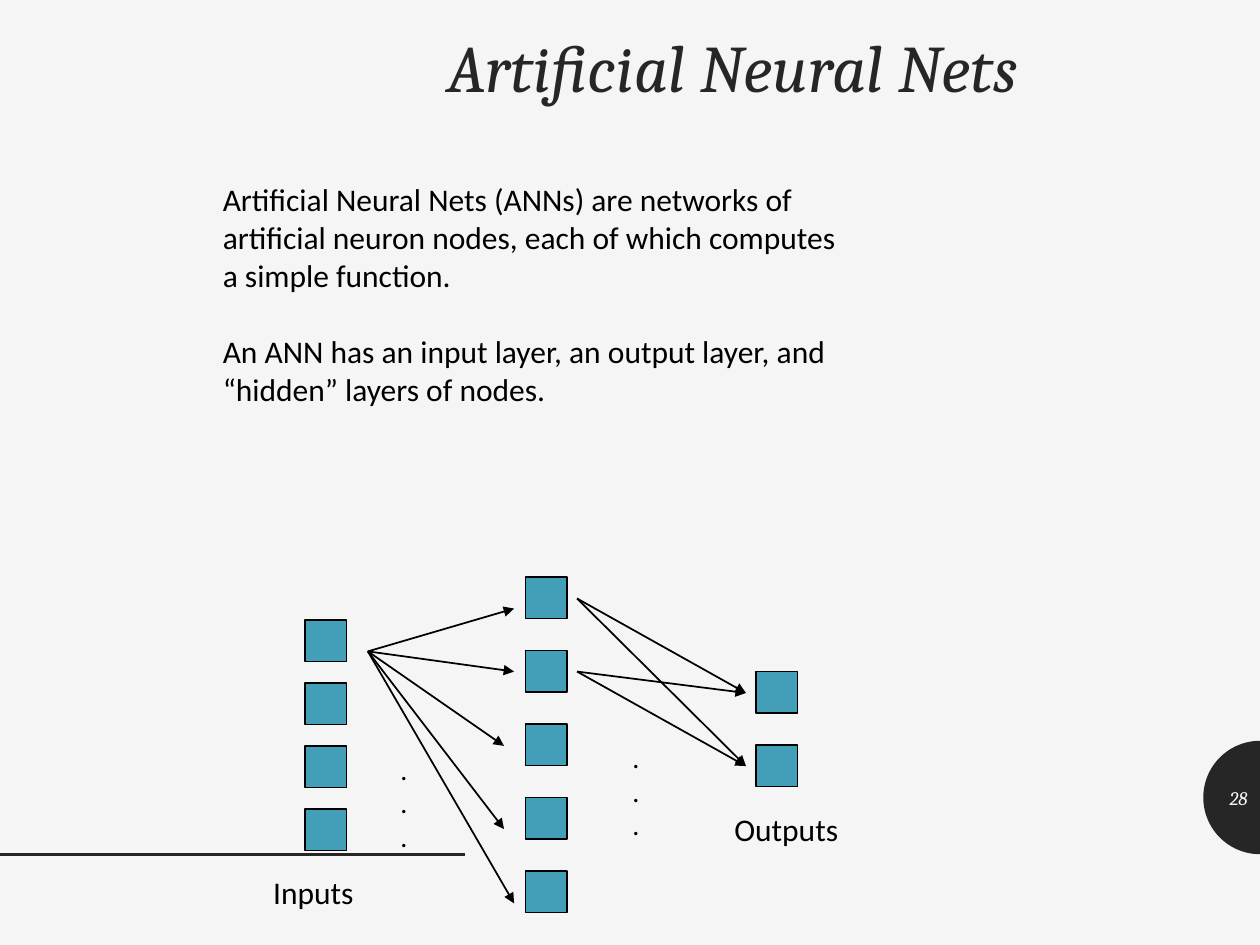
import math

from lxml import etree
from pptx import Presentation
from pptx.dml.color import RGBColor
from pptx.enum import shapes, text
from pptx.oxml import ns
from pptx.util import Inches, Pt

BACKGROUND = RGBColor(0xF5, 0xF5, 0xF5)
DARK = RGBColor(0x26, 0x26, 0x26)
BLACK = RGBColor(0, 0, 0)
TEAL = RGBColor(0x43, 0x9E, 0xB7)

TITLE_FONT = {"name": "Cambria", "size": Pt(38), "italic": True}
NUMBER_FONT = {"name": "Cambria", "size": Pt(11), "italic": True}
BODY_FONT = {"name": "Calibri", "size": Pt(18)}
DOT_FONT = {"name": "Calibri", "size": Pt(16)}

NODE_SIZE = 0.33
LAYERS = [(2.42, 4.92, 0.5, 4), (4.17, 4.58, 7 / 12, 5), (6, 5.33, 7 / 12, 2)]
INPUT_START = (2.92, 5.17)
HIDDEN_ENDS = [(4.08, 4.83), (4.08, 5.33), (4, 5.92), (4, 6.58), (4.08, 7.17)]
HIDDEN_STARTS = [(4.58, 4.75), (4.58, 5.33)]
OUTPUT_ENDS = [(5.92, 5.5), (5.92, 6.08)]

FIRST_LINES = [
    "Artificial Neural Nets (ANNs) are networks of",
    "artificial neuron nodes, each of which computes",
    "a simple function.",
]
SECOND_LINES = [
    "An ANN has an input layer, an output layer, and",
    "“hidden” layers of nodes.",
]


def write_lines(frame, lines, font, color, **paragraph_format):
    for index, line in enumerate(lines):
        para = frame.paragraphs[0] if index == 0 else frame.add_paragraph()
        for name, value in paragraph_format.items():
            setattr(para, name, value)
        span = para.add_run()
        span.text = line
        for name, value in font.items():
            setattr(span.font, name, value)
        span.font.color.rgb = color


def add_text(page, place, lines, font, color=BLACK, **paragraph_format):
    box = page.shapes.add_textbox(*map(Inches, place))
    box.text_frame.word_wrap = True
    write_lines(box.text_frame, lines, font, color, **paragraph_format)
    return box


def add_title(page, words):
    title = page.shapes.title
    title.left, title.top, title.width, title.height = map(Inches, (1.82, 0.23, 6.36, 5.42))
    title.text_frame.vertical_anchor = text.MSO_ANCHOR.TOP
    write_lines(title.text_frame, [words], TITLE_FONT, DARK,
                alignment=text.PP_ALIGN.RIGHT, line_spacing=0.9)


def add_line(page, start, end, color=BLACK, width=1, arrow=False):
    line = page.shapes.add_connector(
        shapes.MSO_CONNECTOR.STRAIGHT, *map(Inches, (*start, *end)))
    line.line.color.rgb = color
    line.line.width = Pt(width)
    if arrow:
        outline = line.line._get_or_add_ln()
        etree.SubElement(outline, ns.qn("a:tailEnd"), type="triangle")
    etree.SubElement(line._element.spPr, ns.qn("a:effectLst"))


def add_layer(page, left, top, step, count):
    for index in range(count):
        node = page.shapes.add_shape(
            shapes.MSO_SHAPE.RECTANGLE,
            *map(Inches, (left, top + index * step, NODE_SIZE, NODE_SIZE)))
        node.shadow.inherit = False
        node.fill.solid()
        node.fill.fore_color.rgb = TEAL
        node.line.color.rgb = BLACK
        node.line.width = Pt(1)


def add_number_badge(page, number):
    center_x, center_y, radius, steps = 10, 6.33, 0.45, 48
    angles = [math.pi / 2 + math.pi * step / steps for step in range(steps + 1)]
    points = [(Inches(center_x + radius * math.cos(angle)),
               Inches(center_y + radius * math.sin(angle))) for angle in angles]
    builder = page.shapes.build_freeform(*points[0])
    builder.add_line_segments(points[1:], close=True)
    badge = builder.convert_to_shape()
    badge.shadow.inherit = False
    badge.fill.solid()
    badge.fill.fore_color.rgb = DARK
    badge.line.fill.background()
    box = add_text(page, (9.55, 6.13, 0.45, 0.4), [number], NUMBER_FONT, BACKGROUND,
                   alignment=text.PP_ALIGN.RIGHT)
    box.text_frame.vertical_anchor = text.MSO_ANCHOR.MIDDLE


def add_body(page):
    box = add_text(page, (1.67, 1.38, 7.16, 1.92), FIRST_LINES + SECOND_LINES, BODY_FONT,
                   alignment=text.PP_ALIGN.JUSTIFY)
    box.text_frame.paragraphs[len(FIRST_LINES)].space_before = Pt(22)


def add_network(page):
    for layer in LAYERS:
        add_layer(page, *layer)
    for end in HIDDEN_ENDS:
        add_line(page, INPUT_START, end, arrow=True)
    for start in HIDDEN_STARTS:
        for end in OUTPUT_ENDS:
            add_line(page, start, end, arrow=True)
    for left, top in [(3.08, 5.92), (4.92, 5.83)]:
        add_text(page, (left, top, 0.26, 0.9), ["."] * 3, DOT_FONT)
    add_text(page, (2.07, 6.88, 1.03, 0.5), ["Inputs"], BODY_FONT)
    add_text(page, (5.73, 6.38, 1.26, 0.5), ["Outputs"], BODY_FONT)


def main():
    deck = Presentation()
    deck.slide_width, deck.slide_height = Inches(10), Inches(7.5)
    page = deck.slides.add_slide(deck.slide_layouts[5])
    page.background.fill.solid()
    page.background.fill.fore_color.rgb = BACKGROUND
    add_title(page, "Artificial Neural Nets")
    add_number_badge(page, "28")
    add_line(page, (0, 6.78), (3.69, 6.78), DARK, 2)
    add_body(page)
    add_network(page)
    deck.save("out.pptx")


if __name__ == "__main__":
    main()
